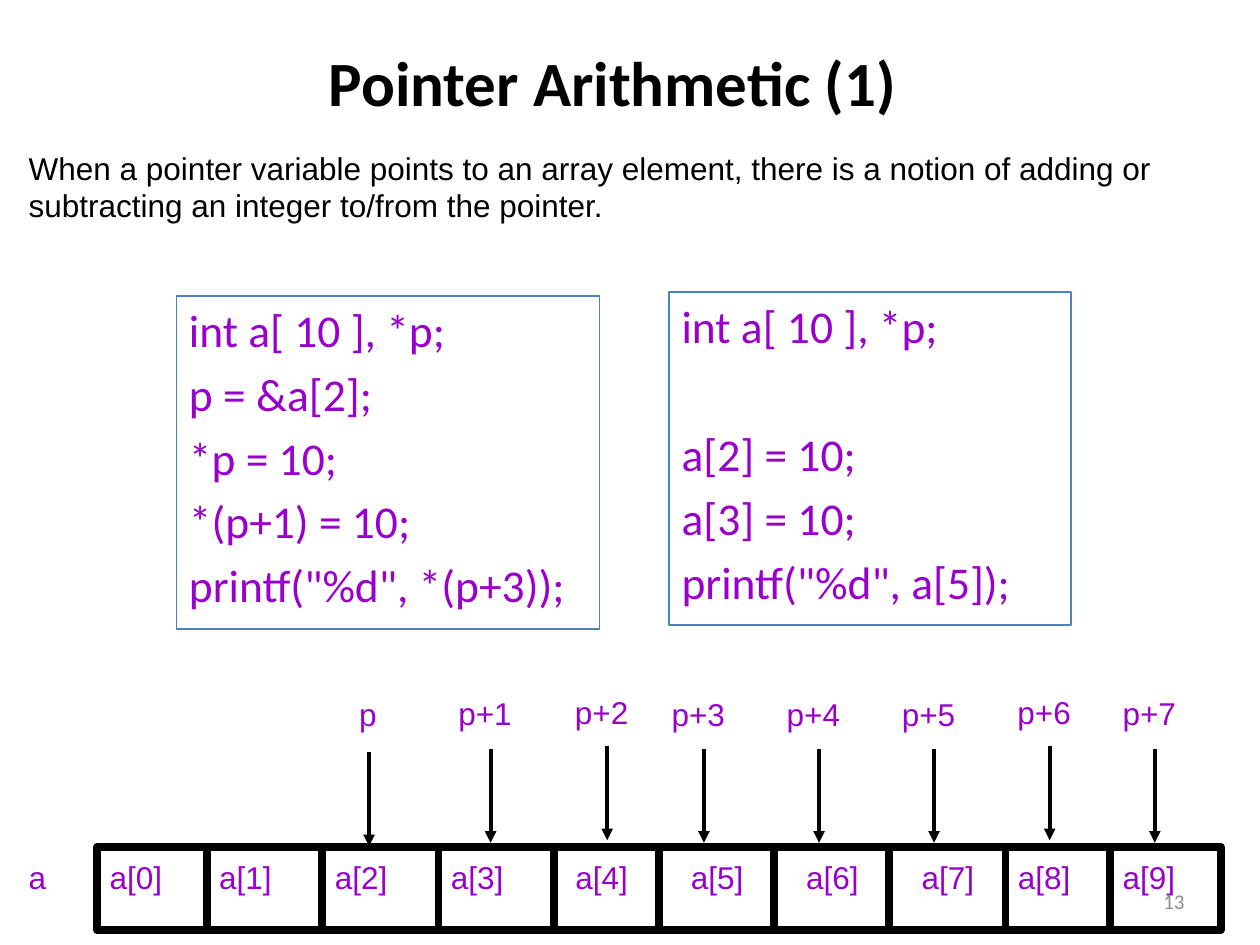
from dataclasses import dataclass

import pptx
import pptx.dml.color
import pptx.enum.shapes
import pptx.enum.text
import pptx.oxml.ns
import pptx.oxml.xmlchemy
import pptx.util

Cm = pptx.util.Cm
Pt = pptx.util.Pt
Align = pptx.enum.text.PP_ALIGN
Anchor = pptx.enum.text.MSO_ANCHOR
Fit = pptx.enum.text.MSO_AUTO_SIZE
Element = pptx.oxml.xmlchemy.OxmlElement

BLACK = pptx.dml.color.RGBColor(0x00, 0x00, 0x00)
PURPLE = pptx.dml.color.RGBColor(0x99, 0x00, 0xCC)
BLUE = pptx.dml.color.RGBColor(0x4F, 0x81, 0xBD)
GRAY = pptx.dml.color.RGBColor(0x8C, 0x8C, 0x8C)


@dataclass(frozen=True)
class Box:
    left: float
    top: float
    width: float
    height: float

    def spans(self) -> tuple:
        return Cm(self.left), Cm(self.top), Cm(self.width), Cm(self.height)


@dataclass(frozen=True)
class Style:
    size: float
    face: str
    color: pptx.dml.color.RGBColor
    bold: bool = False


@dataclass(frozen=True)
class Code:
    box: Box
    lines: tuple[str, ...]
    gaps: tuple[float, ...]


@dataclass(frozen=True)
class Cell:
    left: float
    inset: float = 0


@dataclass(frozen=True)
class Mark:
    center: float
    label: float
    arrow: float


LABEL = Style(18, "Arial", PURPLE)
CODE = Style(26, "Calibri", PURPLE)
GAP = 5.2
SKIP = 42

CODES = (
    Code(Box(3.56, 5.97, 8.53, 6.71),
         ("int a[ 10 ], *p;", "p = &a[2];", "*p = 10;", "*(p+1) = 10;",
          'printf("%d", *(p+3));'),
         (GAP,) * 5),
    Code(Box(13.49, 5.89, 8.1, 6.71),
         ("int a[ 10 ], *p;", "a[2] = 10;", "a[3] = 10;", 'printf("%d", a[5]);'),
         (GAP, SKIP, GAP, GAP)),
)
BAR = Box(1.96, 17.07, 22.65, 1.68)
MID = 5
CELLS = (
    Cell(1.96), Cell(4.17), Cell(6.5), Cell(8.84), Cell(11.16, 0.19),
    Cell(13.28, 0.4), Cell(15.6, 0.4), Cell(17.93, 0.4), Cell(20.27), Cell(22.38),
)
MARKS = (
    Mark(7.44, 13.89, 15.16), Mark(9.89, 13.87, 15.09), Mark(12.24, 13.84, 15.04),
    Mark(14.19, 13.89, 15.09), Mark(16.51, 13.89, 15.09), Mark(18.83, 13.89, 15.09),
    Mark(21.16, 13.84, 15.04), Mark(23.28, 13.87, 15.09),
)


def write(frame, lines: tuple[str, ...], style: Style, align=Align.LEFT,
          gaps: tuple[float, ...] = ()) -> None:
    frame.text = "\n".join(lines)
    for para in frame.paragraphs:
        para.alignment = align
        para.font.size = Pt(style.size)
        para.font.name = style.face
        para.font.bold = style.bold
        para.font.color.rgb = style.color
    for para, gap in zip(frame.paragraphs, gaps):
        para.space_before = Pt(gap)


def add_text(slide, box: Box, text: str, style: Style, align=Align.LEFT,
             anchor=Anchor.TOP, wrap: bool = True) -> None:
    frame = slide.shapes.add_textbox(*box.spans()).text_frame
    frame.word_wrap = wrap
    frame.auto_size = Fit.NONE if wrap else Fit.SHAPE_TO_FIT_TEXT
    frame.vertical_anchor = anchor
    write(frame, (text,), style, align)


def add_rect(slide, box: Box, color: pptx.dml.color.RGBColor, weight: float):
    shape = slide.shapes.add_shape(pptx.enum.shapes.MSO_SHAPE.RECTANGLE, *box.spans())
    shape.shadow.inherit = False
    shape.fill.background()
    shape.line.color.rgb = color
    shape.line.width = Pt(weight)
    return shape


def add_line(slide, left: float, top: float, end: float, weight: float,
             arrow: bool = False):
    line = slide.shapes.add_connector(
        pptx.enum.shapes.MSO_CONNECTOR.STRAIGHT, Cm(left), Cm(top), Cm(left), Cm(end))
    line.line.color.rgb = BLACK
    line.line.width = Pt(weight)
    props = line._element.spPr
    if arrow:
        tail = Element("a:tailEnd")
        tail.set("type", "triangle")
        props.find(pptx.oxml.ns.qn("a:ln")).append(tail)
    props.append(Element("a:effectLst"))
    return line


def add_code(slide, code: Code) -> None:
    frame = add_rect(slide, code.box, BLUE, 0.75).text_frame
    frame.word_wrap = True
    frame.vertical_anchor = Anchor.TOP
    write(frame, code.lines, CODE, gaps=code.gaps)


def add_array(slide) -> None:
    bar = add_rect(slide, BAR, BLACK, 4.5)
    for index, cell in enumerate(CELLS):
        if index:
            rule = add_line(slide, cell.left, BAR.top, BAR.top + BAR.height, 4.5)
            if index == MID:
                rule.begin_connect(bar, 0)
                rule.end_connect(bar, 2)
    add_text(slide, Box(0.33, 17.17, 0.97, 1.27), "a", LABEL, wrap=False)
    for index, cell in enumerate(CELLS):
        add_text(slide, Box(cell.left + cell.inset, 17.17, 2.03, 1.27),
                 f"a[{index}]", LABEL, wrap=False)


def add_mark(slide, index: int, mark: Mark) -> None:
    text = f"p+{index}" if index else "p"
    shift, width = (0.9, 2.21) if index else (0.45, 1.02)
    add_text(slide, Box(mark.center - shift, mark.label, width, 1.27),
             text, LABEL, wrap=False)
    add_line(slide, mark.center, mark.arrow, mark.arrow + 1.9, 2.25, arrow=True)


def main() -> None:
    deck = pptx.Presentation()
    deck.slide_width, deck.slide_height = Cm(25.4), Cm(19.05)
    slide = deck.slides.add_slide(deck.slide_layouts[6])
    add_text(slide, Box(0.36, 0.74, 23.98, 1.8), "Pointer Arithmetic (1)",
             Style(36, "Calibri", BLACK, True), Align.CENTER, Anchor.MIDDLE)
    for code in CODES:
        add_code(slide, code)
    add_array(slide)
    for index, mark in enumerate(MARKS):
        add_mark(slide, index, mark)
    add_text(slide, Box(0.33, 2.87, 24.23, 1.8),
             "When a pointer variable points to an array element, there is a notion of "
             "adding or subtracting an integer to/from the pointer.",
             Style(18, "Arial", BLACK))
    add_text(slide, Box(18.21, 17.65, 5.92, 1.02), "13",
             Style(12, "Calibri", GRAY), Align.RIGHT, Anchor.MIDDLE)
    deck.save("out.pptx")


if __name__ == "__main__":
    main()
